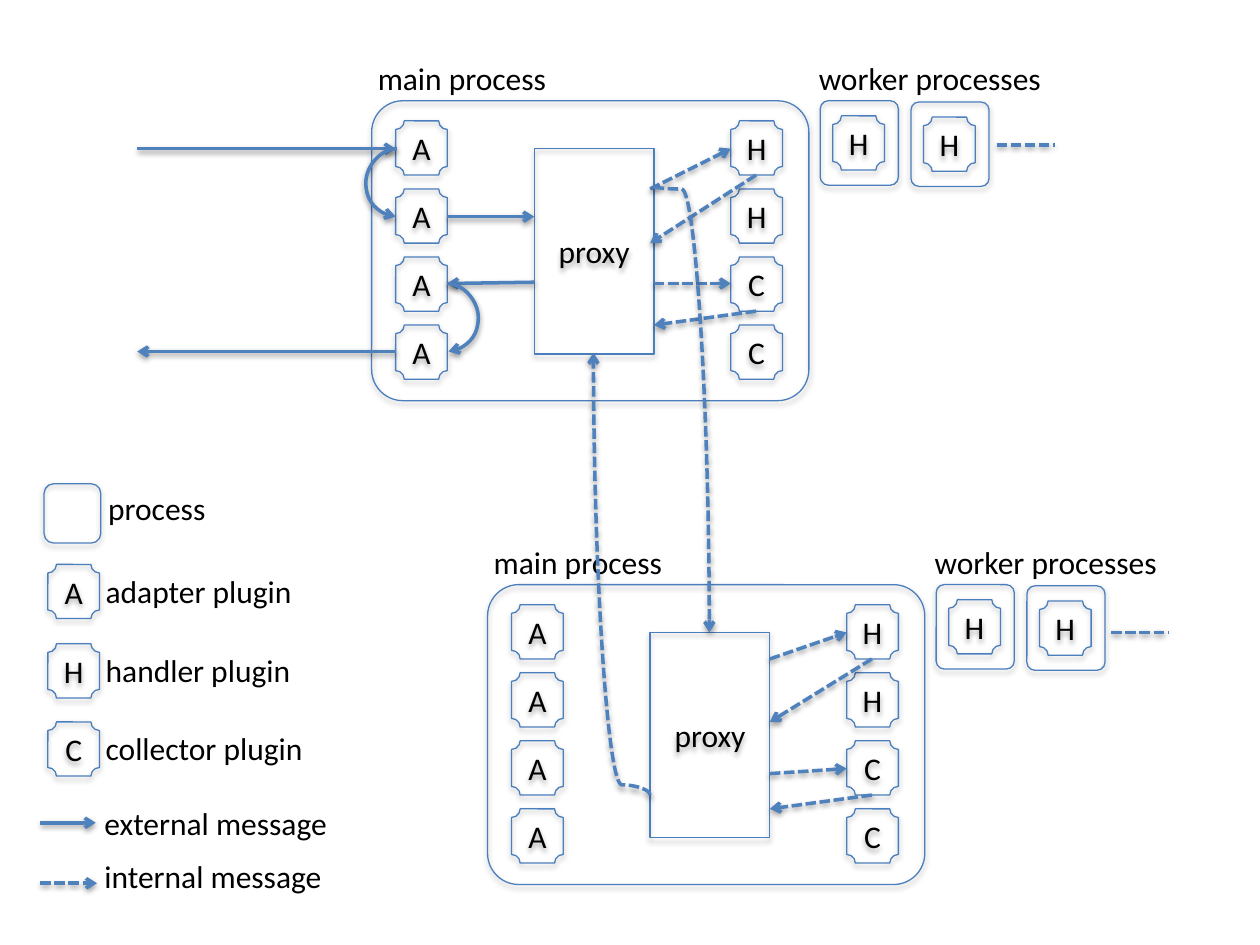
from lxml import etree
from pptx import Presentation
from pptx.dml.color import RGBColor
from pptx.enum.dml import MSO_LINE
from pptx.enum.shapes import MSO_CONNECTOR, MSO_SHAPE
from pptx.enum.text import MSO_ANCHOR, MSO_AUTO_SIZE, PP_ALIGN
from pptx.oxml.ns import qn
from pptx.util import Inches, Pt

EDGE = RGBColor(0x4B, 0x7E, 0xBC)
ARROW = RGBColor(0x4F, 0x81, 0xBD)
BLACK = RGBColor(0, 0, 0)
RECT = MSO_SHAPE.RECTANGLE
ROUND = MSO_SHAPE.ROUNDED_RECTANGLE
PLAQUE = MSO_SHAPE.PLAQUE
STRAIGHT = MSO_CONNECTOR.STRAIGHT
CURVE = MSO_CONNECTOR.CURVE
DASH = MSO_LINE.SQUARE_DOT
MIDDLE = MSO_ANCHOR.MIDDLE
CENTER = PP_ALIGN.CENTER
FIT = MSO_AUTO_SIZE.SHAPE_TO_FIT_TEXT

FONT = "Calibri"
PLUG_W, PLUG_H = 0.41, 0.43
ROW = 0.54
CORNER = 0.104

LEGEND = [("A", "adapter plugin", 4.48, 1.70),
          ("H", "handler plugin", 5.11, 1.68),
          ("C", "collector plugin", 5.73, 1.79)]
EXTERNAL = [((0.32, 6.53), (0.76, 6.53)),
            ((1.09, 1.18), (3.14, 1.18)),
            ((3.55, 1.72), (4.24, 1.72)),
            ((4.24, 2.24), (3.55, 2.25)),
            ((3.14, 2.79), (1.09, 2.79))]
INTERNAL = [((0.32, 7.01), (0.77, 7.01)),
            ((5.16, 1.50), (5.80, 1.18)),
            ((6.00, 1.39), (5.16, 1.93)),
            ((5.19, 2.25), (5.80, 2.25)),
            ((6.00, 2.47), (5.19, 2.58)),
            ((6.11, 5.23), (6.72, 5.02)),
            ((6.92, 5.23), (6.11, 5.73)),
            ((6.11, 6.14), (6.72, 6.10)),
            ((6.92, 6.31), (6.11, 6.42))]
MORE = [((7.91, 1.15), (8.37, 1.15)),
        ((8.82, 5.02), (9.27, 5.02))]


def add_shadow(item, drop, alpha):
    """Give a shape or connector a soft shadow straight below it."""
    effects = etree.SubElement(item._element.spPr, qn("a:effectLst"))
    outer = etree.SubElement(effects, qn("a:outerShdw"), blurRad="40000",
                             dist=str(drop), dir="5400000", rotWithShape="0")
    color = etree.SubElement(outer, qn("a:srgbClr"), val="000000")
    etree.SubElement(color, qn("a:alpha"), val=str(alpha))


def write(frame, text):
    """Put one paragraph of black text into a frame."""
    para = frame.paragraphs[0]
    para.text = text
    para.font.name = FONT
    para.font.size = Pt(18)
    para.font.color.rgb = BLACK
    return para


def add_box(shapes, kind, x, y, w, h, text="", corner=None):
    """Add an outlined shape with optional centred text."""
    box = shapes.add_shape(kind, Inches(x), Inches(y), Inches(w), Inches(h))
    if corner is not None:
        box.adjustments[0] = corner
    box.fill.background()
    box.line.color.rgb = EDGE
    box.line.width = Pt(0.75)
    add_shadow(box, 23000, 35000)
    if text:
        frame = box.text_frame
        frame.margin_left = frame.margin_right = 0
        frame.margin_top = frame.margin_bottom = 0
        frame.vertical_anchor = MIDDLE
        write(frame, text).alignment = CENTER


def add_plug(shapes, x, y, letter):
    """Add a plugin plaque."""
    add_box(shapes, PLAQUE, x, y, PLUG_W, PLUG_H, letter)


def add_label(shapes, x, y, w, text):
    """Add a one-line label."""
    box = shapes.add_textbox(Inches(x), Inches(y), Inches(w), Inches(0.4))
    box.text_frame.word_wrap = False
    box.text_frame.auto_size = FIT
    write(box.text_frame, text)


def add_line(shapes, start, end, dash=False, head=True, kind=STRAIGHT):
    """Add a message line, solid or dashed, with an arrowhead if wanted."""
    link = shapes.add_connector(kind, *map(Inches, start + end))
    link.line.color.rgb = ARROW
    link.line.width = Pt(2)
    if dash:
        link.line.dash_style = DASH
    if head:
        etree.SubElement(link.line._get_or_add_ln(), qn("a:tailEnd"),
                         type="arrow")
    add_shadow(link, 20000, 38000)
    return link


def set_bend(link, share):
    """Place the middle of a curve at a share of its length."""
    geom = link._element.spPr.find(qn("a:prstGeom"))
    guides = geom.find(qn("a:avLst"))
    if guides is None:
        guides = etree.SubElement(geom, qn("a:avLst"))
    etree.SubElement(guides, qn("a:gd"), name="adj1",
                     fmla=f"val {round(share * 100000)}")


def add_loop(shapes, start, end, bulge):
    """Add a solid curve that bulges sideways between two plugins."""
    link = add_line(shapes, start, end, kind=CURVE)
    set_bend(link, bulge / abs(end[0] - start[0]))


def add_span(shapes, start, end, share):
    """Add a dashed curve that leaves and arrives upright."""
    mid_x, mid_y = (start[0] + end[0]) / 2, (start[1] + end[1]) / 2
    turned = [(mid_x - (y - mid_y), mid_y + (x - mid_x))
              for x, y in (start, end)]
    link = add_line(shapes, *turned, dash=True, kind=CURVE)
    link._element.spPr.find(qn("a:xfrm")).set("rot", str(270 * 60000))
    set_bend(link, share)


def add_node(slide, x, y):
    """Add one main process with its proxy, plugins and workers."""
    shapes = slide.shapes.add_group_shape().shapes
    add_box(shapes, ROUND, x, y, 3.47, 2.38, corner=CORNER)
    add_box(shapes, RECT, x + 1.29, y + 0.38, 0.95, 1.63, "proxy")
    for left, letters in ((0.19, "AAAA"), (2.85, "HHCC")):
        for row, letter in enumerate(letters):
            add_plug(shapes, x + left, y + 0.16 + row * ROW, letter)
    for left, top in ((3.56, 0), (4.28, 0.01)):
        add_box(shapes, ROUND, x + left, y + top, 0.62, 0.67, corner=CORNER)
        add_plug(shapes, x + left + 0.1, y + top + 0.12, "H")
    add_label(shapes, x - 0.05, y - 0.38, 1.56, "main process")
    add_label(shapes, x + 3.45, y - 0.38, 2, "worker processes")


def add_legend(shapes):
    """Add the key to the symbols."""
    add_box(shapes, ROUND, 0.35, 3.84, 0.45, 0.47)
    add_label(shapes, 0.76, 3.83, 0.99, "process")
    for letter, text, y, w in LEGEND:
        add_plug(shapes, 0.38, y, letter)
        add_label(shapes, 0.74, y + 0.01, w, text)
    add_label(shapes, 0.73, 6.33, 1.99, "external message")
    add_label(shapes, 0.73, 6.75, 1.95, "internal message")


def main():
    """Build the slide and save it."""
    deck = Presentation()
    deck.slide_width, deck.slide_height = Inches(10), Inches(7.5)
    slide = deck.slides.add_slide(deck.slide_layouts[6])
    shapes = slide.shapes
    add_node(slide, 2.95, 0.8)
    add_node(slide, 3.87, 4.64)
    add_legend(shapes)
    for start, end in EXTERNAL:
        add_line(shapes, start, end)
    add_loop(shapes, (3.15, 1.18), (3.14, 1.72), 0.25)
    add_loop(shapes, (3.55, 2.25), (3.56, 2.79), 0.25)
    for start, end in INTERNAL:
        add_line(shapes, start, end, dash=True)
    add_span(shapes, (5.19, 1.48), (5.63, 5.02), 0.006)
    add_span(shapes, (5.16, 6.31), (4.71, 2.8), 0.023)
    for start, end in MORE:
        add_line(shapes, start, end, dash=True, head=False)
    deck.save("out.pptx")


main()
